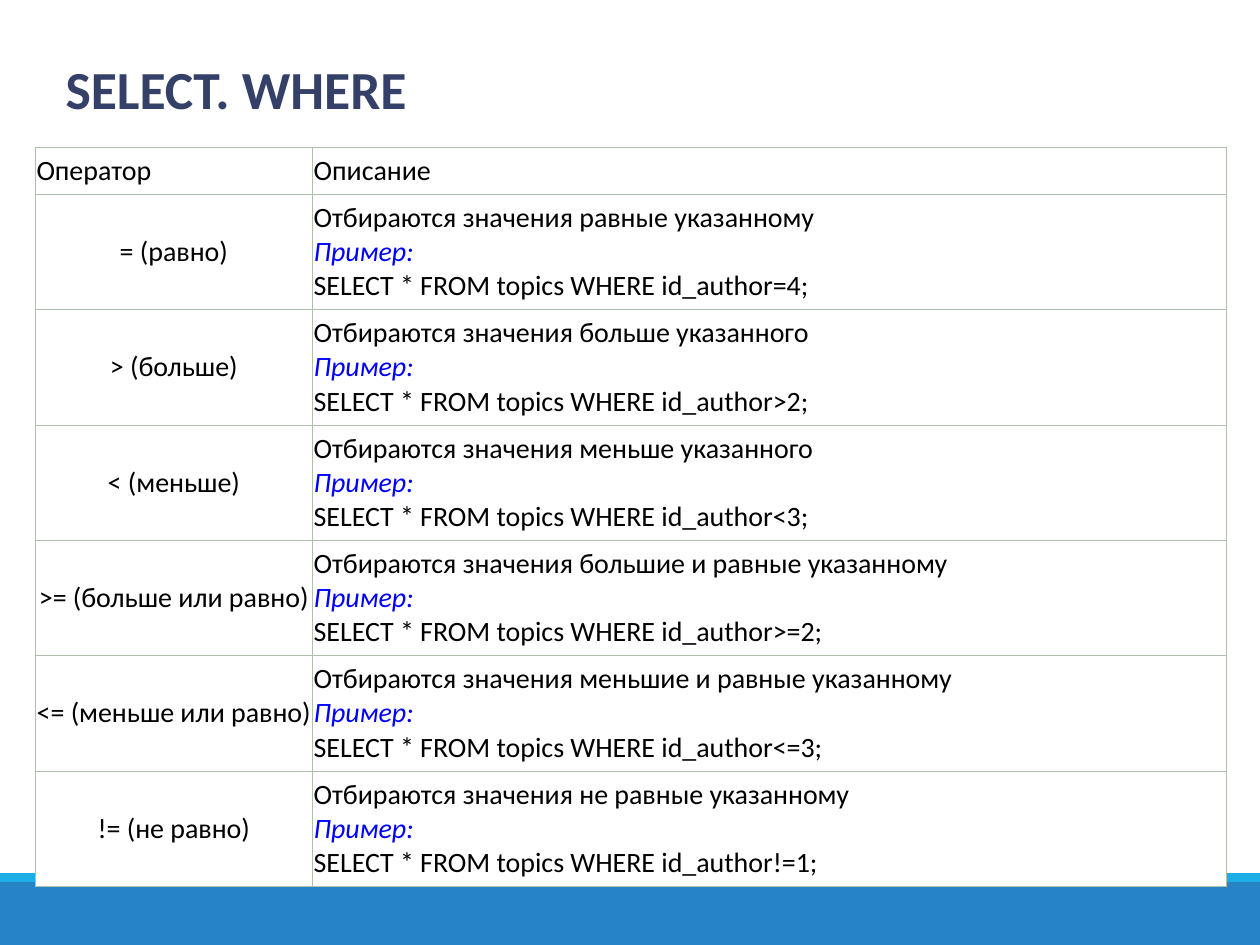
from lxml import etree
from pptx import Presentation
from pptx.dml.color import RGBColor
from pptx.enum import shapes, text
from pptx.oxml.ns import qn
from pptx.util import Inches, Pt

FONT = "Calibri"
WHITE = RGBColor(0xFF, 0xFF, 0xFF)
BLACK = RGBColor(0x00, 0x00, 0x00)
NAVY = RGBColor(0x34, 0x40, 0x68)
EXAMPLE_BLUE = RGBColor(0x00, 0x00, 0xFF)
BAND_BLUE = RGBColor(0x26, 0x83, 0xC6)
STRIPE_BLUE = RGBColor(0x1C, 0xAD, 0xE4)
BORDER_GREEN = RGBColor(0xAD, 0xC1, 0xAD)

HEADINGS = ("Оператор", "Описание")
OPERATORS = [
    ("=", "равно", "равные указанному", 4),
    (">", "больше", "больше указанного", 2),
    ("<", "меньше", "меньше указанного", 3),
    (">=", "больше или равно", "большие и равные указанному", 2),
    ("<=", "меньше или равно", "меньшие и равные указанному", 3),
    ("!=", "не равно", "не равные указанному", 1),
]
COLUMN_WIDTHS = (2.2, 7.25)
ROW_HEIGHTS = (0.28, 0.83, 0.83, 0.83, 0.83, 0.87, 0.83)


def format_font(font, size, color, bold=False, italic=False):
    font.name = FONT
    font.size = Pt(size)
    font.color.rgb = color
    font.bold = bold
    font.italic = italic


def add_bar(slide, left, top, width, height, color):
    bar = slide.shapes.add_shape(
        shapes.MSO_SHAPE.RECTANGLE,
        Inches(left), Inches(top), Inches(width), Inches(height))
    bar.shadow.inherit = False
    bar.fill.solid()
    bar.fill.fore_color.rgb = color
    bar.line.fill.background()


def add_footer(slide, left, top, width, height):
    """Draw a thin light stripe over a wide band."""
    stripe = 0.07
    add_bar(slide, left, top + stripe, width, height - stripe, BAND_BLUE)
    add_bar(slide, left, top, width, stripe, STRIPE_BLUE)


def set_title(slide, left, top, width, height):
    title = slide.shapes.title
    title.left, title.top = Inches(left), Inches(top)
    title.width, title.height = Inches(width), Inches(height)
    frame = title.text_frame
    frame.text = "SELECT. WHERE"
    frame.word_wrap = True
    frame.auto_size = text.MSO_AUTO_SIZE.NONE
    frame.vertical_anchor = text.MSO_ANCHOR.MIDDLE
    paragraph = frame.paragraphs[0]
    paragraph.alignment = text.PP_ALIGN.LEFT
    paragraph.line_spacing = 0.9
    format_font(paragraph.runs[0].font, 30.6, NAVY, bold=True)


def set_borders(cell):
    properties = cell._tc.get_or_add_tcPr()
    for side in ("a:lnL", "a:lnR", "a:lnT", "a:lnB"):
        line = etree.SubElement(properties, qn(side), w=str(Pt(0.34)))
        fill = etree.SubElement(line, qn("a:solidFill"))
        etree.SubElement(fill, qn("a:srgbClr"), val=str(BORDER_GREEN))


def fill_cell(cell, content, alignment):
    set_borders(cell)
    cell.fill.solid()
    cell.fill.fore_color.rgb = WHITE
    cell.margin_left = cell.margin_right = Inches(0.01)
    cell.margin_top = cell.margin_bottom = Inches(0.05)
    cell.vertical_anchor = text.MSO_ANCHOR.MIDDLE
    paragraph = cell.text_frame.paragraphs[0]
    paragraph.text = content
    paragraph.alignment = alignment
    for run in paragraph.runs:
        is_label = run.text == "Пример:"
        format_font(run.font, 16, EXAMPLE_BLUE if is_label else BLACK,
                    italic=is_label)


def add_operator_table(slide, left, top):
    rows = [HEADINGS] + [
        (f"{sign} ({name})",
         f"Отбираются значения {selected}\vПример:\v"
         f"SELECT * FROM topics WHERE id_author{sign}{value};")
        for sign, name, selected, value in OPERATORS]
    table = slide.shapes.add_table(
        len(rows), len(HEADINGS), Inches(left), Inches(top),
        Inches(sum(COLUMN_WIDTHS)), Inches(sum(ROW_HEIGHTS))).table
    for column, width in zip(table.columns, COLUMN_WIDTHS):
        column.width = Inches(width)
    for row, height in zip(table.rows, ROW_HEIGHTS):
        row.height = Inches(height)
    for row_index, contents in enumerate(rows):
        for column_index, content in enumerate(contents):
            centered = row_index > 0 and column_index == 0
            fill_cell(table.cell(row_index, column_index), content,
                      text.PP_ALIGN.CENTER if centered else text.PP_ALIGN.LEFT)


def main():
    presentation = Presentation()
    presentation.slide_width = Inches(10)
    presentation.slide_height = Inches(7.5)
    slide = presentation.slides.add_slide(presentation.slide_layouts[5])
    set_title(slide, 0.42, 0.42, 9, 0.63)
    add_footer(slide, 0, 6.93, 10, 0.57)
    add_operator_table(slide, 0.28, 1.17)
    presentation.save("out.pptx")


if __name__ == "__main__":
    main()
